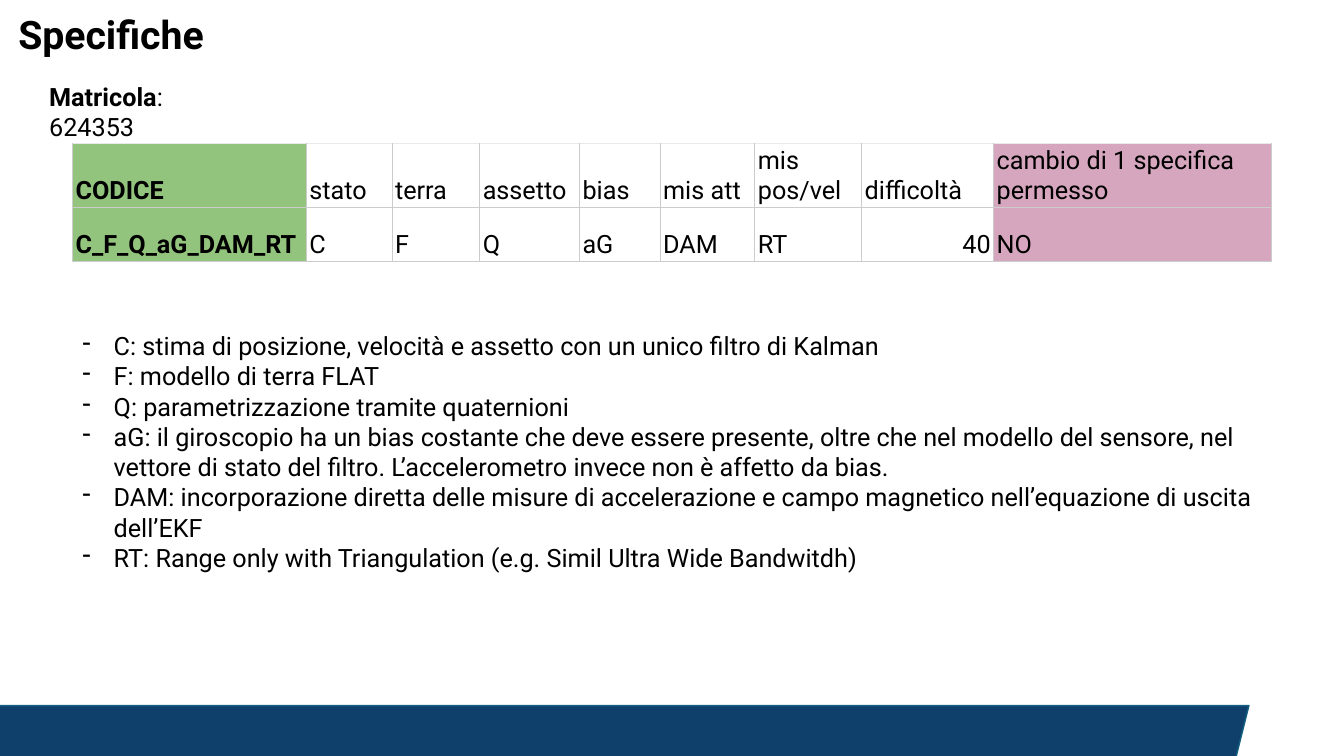
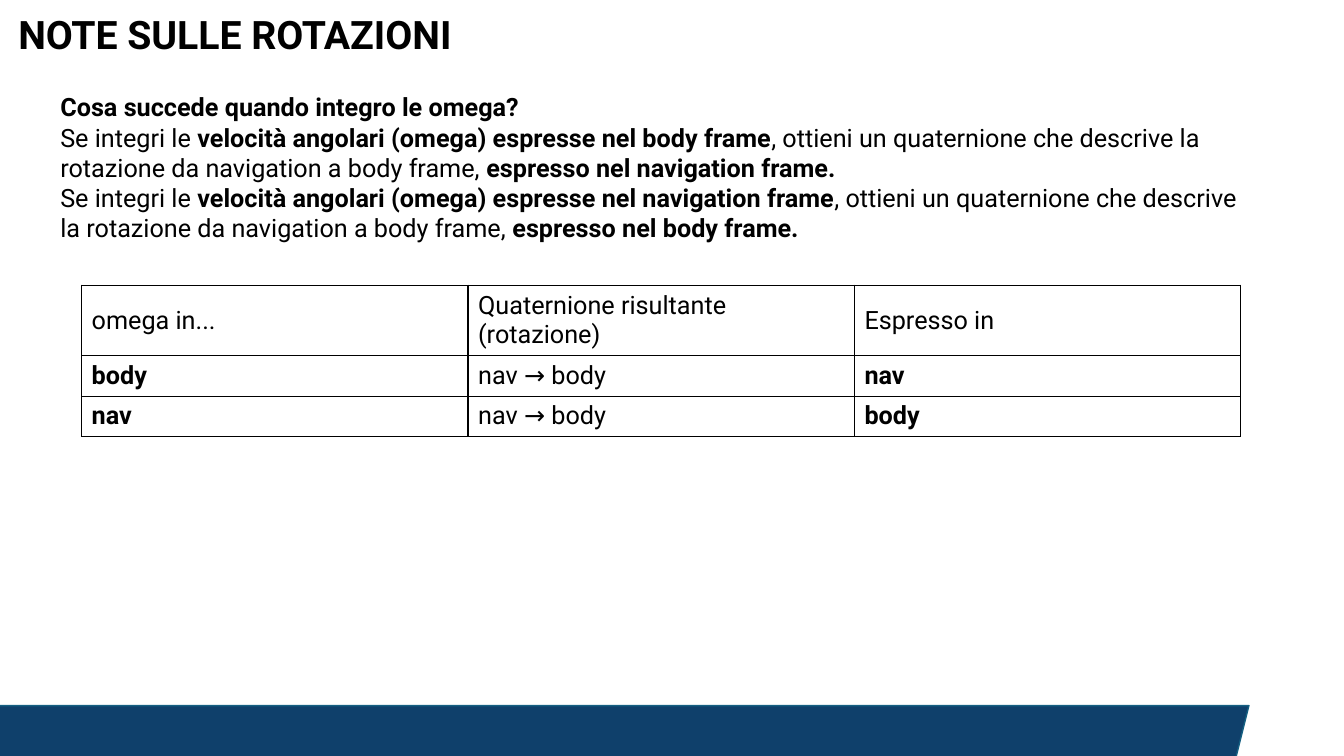
import dataclasses

import lxml.etree
import pptx
import pptx.dml.color
import pptx.enum.shapes
import pptx.enum.text
import pptx.oxml.ns
import pptx.util

ANCHOR = pptx.enum.text.MSO_ANCHOR
ALIGN = pptx.enum.text.PP_ALIGN
AUTO_SIZE = pptx.enum.text.MSO_AUTO_SIZE
qn = pptx.oxml.ns.qn


@dataclasses.dataclass(frozen=True)
class Theme:
    font: str = "Roboto"
    title_size: int = 28
    body_size: int = 18
    text: str = "000000"
    band: str = "0F406B"
    band_line: str = "156082"
    code_fill: str = "93C47D"
    change_fill: str = "D5A6BD"
    grid_line: str = "CCCCCC"
    grid_top: str = "E8EAED"


THEME = Theme()

# The slide is a grid of 160 columns by 90 rows; boxes are (column, row, columns, rows).
GRID_COLUMNS, GRID_ROWS = 160, 90
SLIDE_WIDTH, SLIDE_HEIGHT = pptx.util.Inches(13.33), pptx.util.Inches(7.5)
TITLE_BOX = (1, 0.6, 150, 6.8)
BAND_BOX = (-1.92, 84, 150.6, 6.36)

CODE_CELL = {"margin_left": pptx.util.Inches(0.03), "margin_right": pptx.util.Inches(0.03),
             "margin_top": pptx.util.Inches(0.02), "margin_bottom": pptx.util.Inches(0.02),
             "vertical_anchor": ANCHOR.BOTTOM}
NOTE_CELL = {"vertical_anchor": ANCHOR.MIDDLE}

# Asterisks enclose bold words.
SPECIFICATION_ROWS = [
    ["*CODICE*", "stato", "terra", "assetto", "bias", "mis att", "mis pos/vel",
     "difficoltà", "cambio di 1 specifica permesso"],
    ["*C_F_Q_aG_DAM_RT*", "C", "F", "Q", "aG", "DAM", "RT", "40", "NO"],
]
SPECIFICATION_NOTES = [
    "C: stima di posizione, velocità e assetto con un unico filtro di Kalman",
    "F: modello di terra FLAT",
    "Q: parametrizzazione tramite quaternioni",
    "aG: il giroscopio ha un bias costante che deve essere presente, oltre che nel modello "
    "del sensore, nel vettore di stato del filtro. L’accelerometro invece non è affetto da bias.",
    "DAM: incorporazione diretta delle misure di accelerazione e campo magnetico "
    "nell’equazione di uscita dell’EKF",
    "RT: Range only with Triangulation (e.g. Simil Ultra Wide Bandwitdh)",
]
ROTATION_NOTES = ["*Cosa succede quando integro le omega?*"] + [
    f"Se integri le *velocità angolari (omega) espresse nel {source} frame*, ottieni un "
    "quaternione che descrive la rotazione da navigation a body frame, "
    f"*espresso nel {target} frame.*"
    for source, target in (("body", "navigation"), ("navigation", "body"))
]
ROTATION_ROWS = [
    ["omega in...", "Quaternione risultante (rotazione)", "Espresso in"],
    ["*body*", "nav → body", "*nav*"],
    ["*nav*", "nav → body", "*body*"],
]


def across(columns):
    return round(SLIDE_WIDTH * columns / GRID_COLUMNS)


def down(rows):
    return round(SLIDE_HEIGHT * rows / GRID_ROWS)


def place(box):
    left, top, width, height = box
    return across(left), down(top), across(width), down(height)


def color(value):
    return pptx.dml.color.RGBColor.from_string(value)


def apply_format(target, values):
    for name, value in values.items():
        setattr(target, name, value)


def write_runs(paragraph, text, size=THEME.body_size):
    for index, part in enumerate(text.split("*")):
        if part:
            run = paragraph.add_run()
            run.text = part
            apply_format(run.font, {"name": THEME.font, "size": pptx.util.Pt(size),
                                    "bold": index % 2 == 1})
            run.font.color.rgb = color(THEME.text)


def add_dash(paragraph):
    properties = paragraph._p.get_or_add_pPr()
    indent = across(3.72)
    properties.set("marL", str(indent))
    properties.set("indent", str(-indent))
    lxml.etree.SubElement(properties, qn("a:buChar")).set("char", "-")


def add_text(slide, box, lines, size=THEME.body_size, dashes=False):
    frame = slide.shapes.add_textbox(*place(box)).text_frame
    apply_format(frame, {"word_wrap": True, "auto_size": AUTO_SIZE.SHAPE_TO_FIT_TEXT})
    for index, line in enumerate(lines):
        paragraph = frame.add_paragraph() if index else frame.paragraphs[0]
        if dashes:
            add_dash(paragraph)
        write_runs(paragraph, line, size)


def set_borders(cell, borders, width):
    properties = cell._tc.get_or_add_tcPr()
    for index, (side, value) in enumerate(borders.items()):
        line = lxml.etree.Element(qn(f"a:ln{side}"), w=str(pptx.util.Pt(width)))
        fill = lxml.etree.SubElement(line, qn("a:solidFill"))
        lxml.etree.SubElement(fill, qn("a:srgbClr")).set("val", value)
        properties.insert(index, line)


def add_table(slide, corner, widths, heights, rows, cell_format, line, line_width,
              top_line=None, fills=None):
    """Fill a table; fills maps column numbers to colours."""
    box = (*corner, sum(widths), sum(heights))
    table = slide.shapes.add_table(len(rows), len(widths), *place(box)).table
    apply_format(table, {"first_row": False, "horz_banding": False})
    for column, width in zip(table.columns, widths):
        column.width = across(width)
    for row, height in zip(table.rows, heights):
        row.height = down(height)
    for row_index, texts in enumerate(rows):
        for column_index, text in enumerate(texts):
            cell = table.cell(row_index, column_index)
            apply_format(cell, cell_format)
            fill = (fills or {}).get(column_index)
            if fill:
                cell.fill.solid()
                cell.fill.fore_color.rgb = color(fill)
            else:
                cell.fill.background()
            borders = dict.fromkeys("LRTB", line)
            if row_index == 0 and top_line:
                borders["T"] = top_line
            set_borders(cell, borders, line_width)
            paragraph = cell.text_frame.paragraphs[0]
            if text.isdigit():
                paragraph.alignment = ALIGN.RIGHT
            write_runs(paragraph, text)


def add_band(slide, box):
    band = slide.shapes.add_shape(pptx.enum.shapes.MSO_SHAPE.PARALLELOGRAM, *place(box))
    band.shadow.inherit = False
    band.fill.solid()
    band.fill.fore_color.rgb = color(THEME.band)
    band.line.color.rgb = color(THEME.band_line)
    band.line.width = pptx.util.Pt(1)


def add_titled_slide(presentation, title):
    slide = presentation.slides.add_slide(presentation.slide_layouts[6])
    add_band(slide, BAND_BOX)
    add_text(slide, TITLE_BOX, [f"*{title}*"], THEME.title_size)
    return slide


def build_specifications(presentation):
    slide = add_titled_slide(presentation, "Specifiche")
    # Code table
    widths = [27.84, 10.2, 10.44, 11.88, 9.6, 11.28, 12.72, 15.72, 33.12]
    add_table(slide, (8.64, 17.04), widths, [7.6, 6.4], SPECIFICATION_ROWS, CODE_CELL,
              THEME.grid_line, 0.75, THEME.grid_top,
              {0: THEME.code_fill, 8: THEME.change_fill})
    # Student number, wrapped below its label
    add_text(slide, (4.68, 9.12, 22, 7.8), ["*Matricola*: 624353"])
    # Meaning of each code
    add_text(slide, (8.64, 38.76, 142.8, 30.24), SPECIFICATION_NOTES, dashes=True)


def build_rotations(presentation):
    slide = add_titled_slide(presentation, "NOTE SULLE ROTAZIONI")
    # Explanation
    add_text(slide, (6, 10.32, 145.5, 26.6), ROTATION_NOTES)
    # Frame table
    add_table(slide, (9.72, 33.96), [46] * 3, [8.4, 4.8, 4.8], ROTATION_ROWS, NOTE_CELL,
              THEME.text, 1)


def main():
    presentation = pptx.Presentation()
    apply_format(presentation, {"slide_width": SLIDE_WIDTH, "slide_height": SLIDE_HEIGHT})
    build_specifications(presentation)
    build_rotations(presentation)
    presentation.save("out.pptx")


if __name__ == "__main__":
    main()
